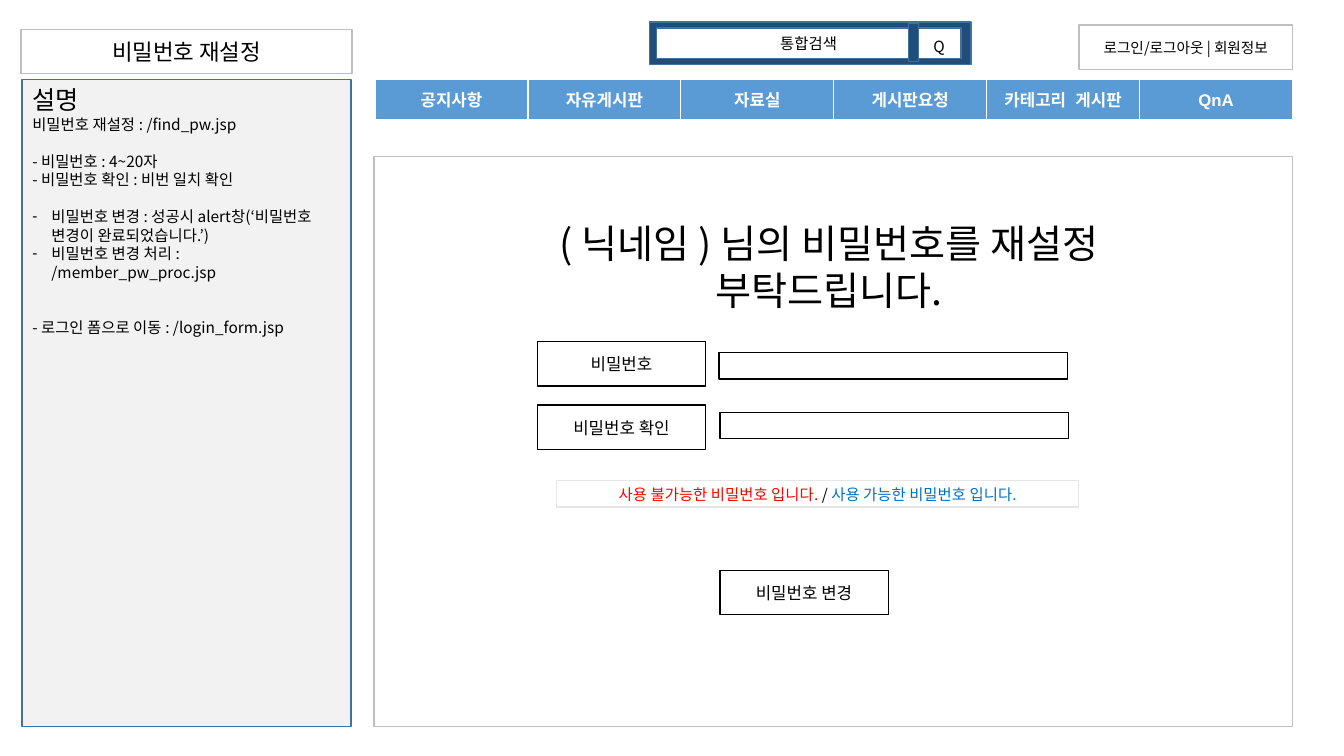
from pptx import Presentation
from pptx.dml.color import RGBColor
from pptx.enum.shapes import MSO_SHAPE
from pptx.enum.text import MSO_ANCHOR as Anchor, MSO_AUTO_SIZE as AutoSize, PP_ALIGN as Align
from pptx.oxml.ns import qn
from pptx.util import Pt
from lxml.etree import SubElement

PX = 9144
FONT = "Noto Sans CJK KR"
LINE_RATIO = 1.2
BLACK = RGBColor(0x00, 0x00, 0x00)
WHITE = RGBColor(0xFF, 0xFF, 0xFF)
GRAY = RGBColor(0xBF, 0xBF, 0xBF)
PALE_GRAY = RGBColor(0xE7, 0xE6, 0xE6)
PANEL = RGBColor(0xF2, 0xF2, 0xF2)
NAVY = RGBColor(0x1E, 0x4E, 0x79)
STEEL = RGBColor(0x42, 0x71, 0x9B)
MENU_BLUE = RGBColor(0x5B, 0x9B, 0xD5)
RED = RGBColor(0xFF, 0x00, 0x00)
BLUE = RGBColor(0x00, 0x70, 0xC0)

MENU = ["공지사항", "자유게시판", "자료실", "게시판요청", "카테고리  게시판", "QnA"]
DESCRIPTION = [
    ("설명", 18, 0, False),
    ("비밀번호 재설정 : /find_pw.jsp", 11, 0, False),
    ("- 비밀번호 : 4~20자", 11, 1, False),
    ("- 비밀번호 확인 : 비번 일치 확인", 11, 0, False),
    ("비밀번호 변경 : 성공시 alert창(‘비밀번호 변경이 완료되었습니다.’)", 11, 1, True),
    ("비밀번호 변경 처리 : /member_pw_proc.jsp", 11, 0, True),
    ("- 로그인 폼으로 이동 : /login_form.jsp", 11, 2, False),
]


def scaled(*lengths):
    """Turn px lengths into EMU."""
    return [length * PX for length in lengths]


def write(paragraph, text, size=12, color=BLACK, font=FONT, bold=False, align=Align.CENTER):
    """Add one formatted run to a paragraph."""
    paragraph.alignment = align
    run = paragraph.add_run()
    run.text = text
    run.font.size = Pt(size)
    run.font.bold = bold
    run.font.name = font
    run.font.color.rgb = color
    SubElement(run.font._element, qn("a:ea"), typeface=font)


def paint(shape, fill, line):
    """Give a shape its fill and a one-point outline."""
    shape.fill.solid()
    shape.fill.fore_color.rgb = fill
    shape.line.color.rgb = line
    shape.line.width = Pt(1)


def add_box(shapes, place, text="", fill=WHITE, line=BLACK, size=12):
    """Add a rectangle with an optional centred label."""
    box = shapes.add_shape(MSO_SHAPE.RECTANGLE, *scaled(*place))
    box.shadow.inherit = False
    paint(box, fill, line)
    box.text_frame.vertical_anchor = Anchor.MIDDLE
    if text:
        write(box.text_frame.paragraphs[0], text, size=size)
    return box


def add_text(shapes, place, text, size, anchor=Anchor.TOP):
    """Add a wrapping text box with centred text."""
    frame = shapes.add_textbox(*scaled(*place)).text_frame
    frame.word_wrap = True
    frame.vertical_anchor = anchor
    paragraph = frame.paragraphs[0]
    paragraph.line_spacing = Pt(size * LINE_RATIO)
    write(paragraph, text, size=size)


def place_placeholder(placeholder, place, fill, line, anchor):
    """Move and colour a placeholder and return its text frame."""
    placeholder.left, placeholder.top, placeholder.width, placeholder.height = scaled(*place)
    paint(placeholder, fill, line)
    frame = placeholder.text_frame
    frame.auto_size = AutoSize.NONE
    frame.word_wrap = True
    frame.vertical_anchor = anchor
    return frame


def set_bullet(paragraph, bulleted):
    """Give a paragraph a hanging dash or no bullet at all."""
    properties = paragraph._p.get_or_add_pPr()
    indent = 19 * PX if bulleted else 0
    properties.set("marL", str(indent))
    properties.set("indent", str(-indent))
    if bulleted:
        SubElement(properties, qn("a:buChar"), char="-")
    else:
        SubElement(properties, qn("a:buNone"))


def fill_description(frame):
    """Write the description list."""
    for index, (text, size, gap_lines, bulleted) in enumerate(DESCRIPTION):
        paragraph = frame.add_paragraph() if index else frame.paragraphs[0]
        set_bullet(paragraph, bulleted)
        paragraph.line_spacing = Pt(size * LINE_RATIO)
        paragraph.space_before = Pt(gap_lines * size * LINE_RATIO)
        write(paragraph, text, size=size, align=Align.LEFT)


def add_search(shapes):
    """Add the grouped search bar."""
    search = shapes.add_group_shape().shapes
    add_box(search, (644, 22, 319, 42), fill=NAVY, line=STEEL)
    add_box(search, (651, 28, 302, 30), "통합검색", line=STEEL, size=11)
    add_box(search, (901, 23, 10, 38), fill=NAVY, line=STEEL)
    add_text(search, (907, 20, 49, 40), "Q", 11, anchor=Anchor.BOTTOM)


def set_border(cell, side, width):
    """Draw one white cell border."""
    border = SubElement(cell._tc.get_or_add_tcPr(), qn(f"a:ln{side}"), w=str(Pt(width)))
    SubElement(SubElement(border, qn("a:solidFill")), qn("a:srgbClr"), val=str(WHITE))


def add_menu(shapes):
    """Add the one-row menu table."""
    table = shapes.add_table(1, len(MENU), *scaled(372, 79, 910, 41)).table
    for cell, text in zip(table.rows[0].cells, MENU):
        for side, width in zip("LRTB", (1, 1, 1, 3)):
            set_border(cell, side, width)
        cell.fill.solid()
        cell.fill.fore_color.rgb = MENU_BLUE
        cell.vertical_anchor = Anchor.MIDDLE
        write(cell.text_frame.paragraphs[0], text, color=WHITE, font="Arial", bold=True)


def main():
    """Build the password reset slide."""
    presentation = Presentation()
    presentation.slide_width, presentation.slide_height = scaled(1333, 750)
    slide = presentation.slides.add_slide(presentation.slide_layouts[1])
    shapes = slide.shapes
    title, body = slide.placeholders

    title_frame = place_placeholder(title, (21, 29, 328, 44), WHITE, GRAY, Anchor.MIDDLE)
    write(title_frame.paragraphs[0], "비밀번호 재설정", size=16)
    fill_description(place_placeholder(body, (22, 79, 326, 642), PANEL, STEEL, Anchor.TOP))

    add_box(shapes, (1070, 25, 212, 44), "로그인/로그아웃 | 회원정보", line=GRAY, size=10.5)
    add_search(shapes)
    add_menu(shapes)

    add_box(shapes, (371, 155, 911, 566), line=GRAY)
    add_text(shapes, (518, 213, 608, 104), "( 닉네임 ) 님의 비밀번호를 재설정 부탁드립니다.", 28)
    for left, top, label in (
        (714, 566, "비밀번호 변경"),
        (533, 339, "비밀번호"),
        (533, 402, "비밀번호 확인"),
    ):
        add_box(shapes, (left, top, 167, 44), label)
    for left, top in ((713, 350), (714, 409)):
        add_box(shapes, (left, top, 346, 26))

    message = add_box(shapes, (552, 477, 518, 26), line=PALE_GRAY).text_frame.paragraphs[0]
    for text, color in (
        ("사용 불가능한 비밀번호 입니다. ", RED),
        ("/ ", BLACK),
        ("사용 가능한 비밀번호 입니다.", BLUE),
    ):
        write(message, text, size=11, color=color)

    presentation.save("out.pptx")


if __name__ == "__main__":
    main()
